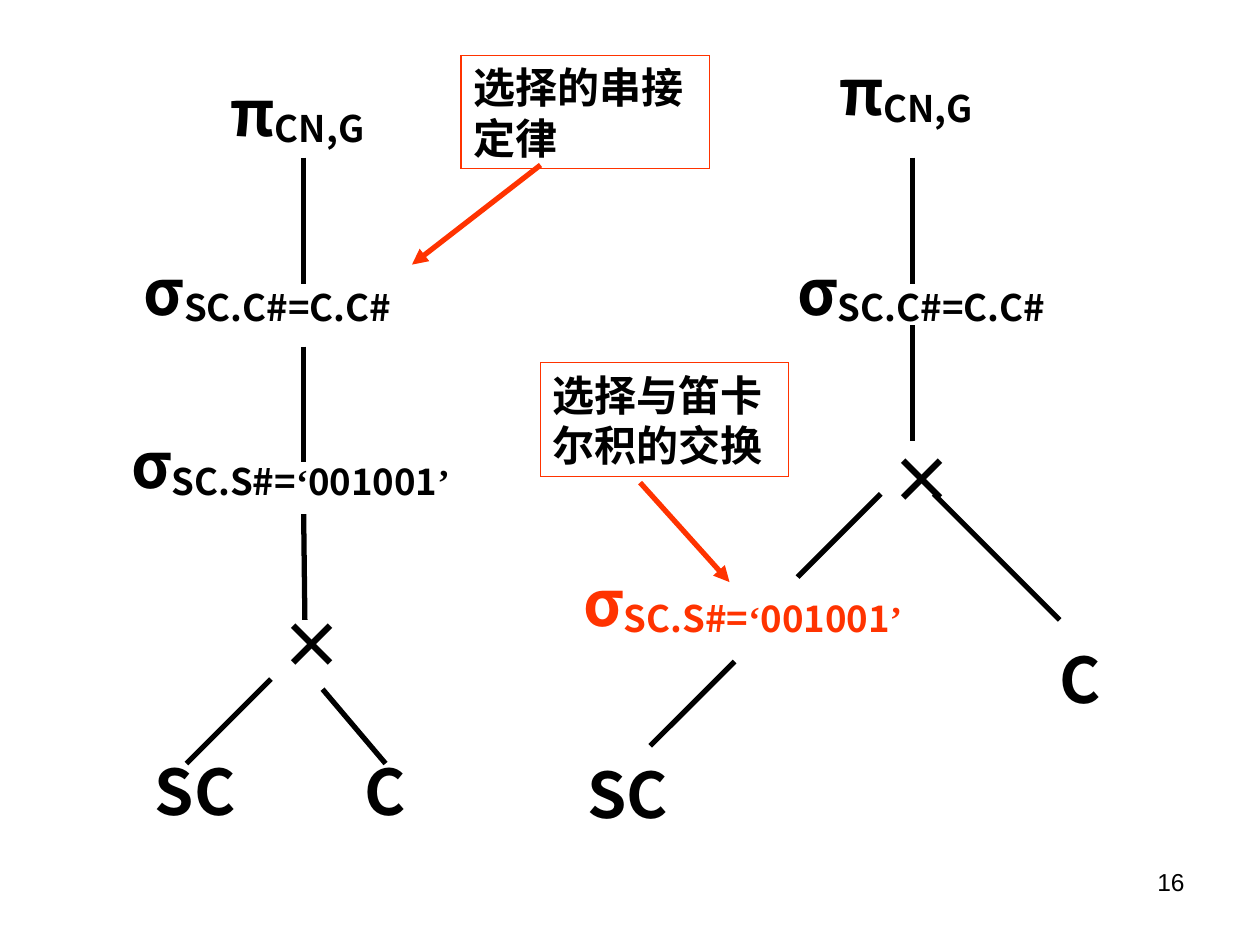
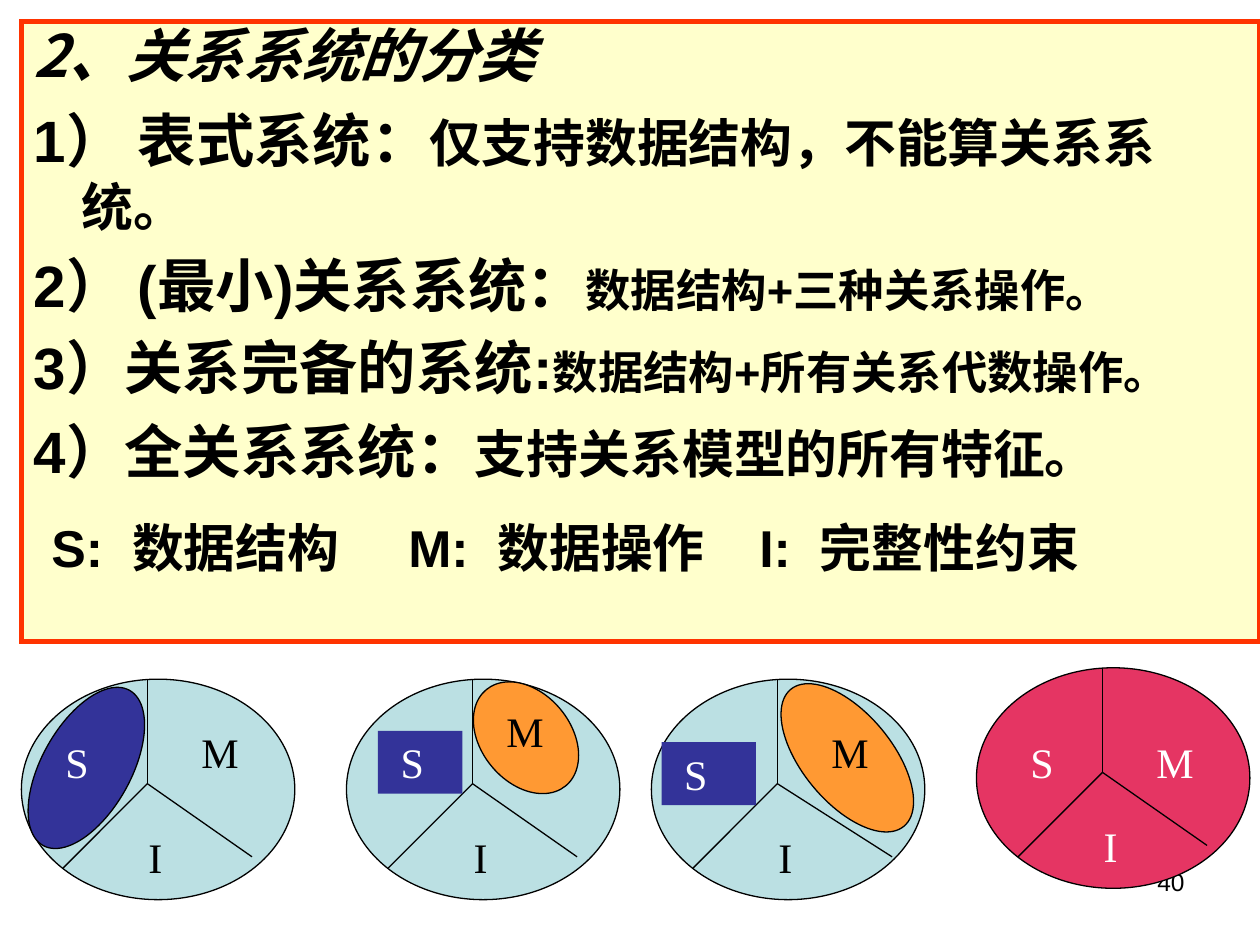
import pptx
import pptx.util
import pptx.dml.color
import pptx.enum.shapes
import pptx.enum.text
import pptx.oxml.ns
import lxml.etree

Inches = pptx.util.Inches
Pt = pptx.util.Pt
SHAPES = pptx.enum.shapes.MSO_SHAPE
ALIGN = pptx.enum.text.PP_ALIGN
qn = pptx.oxml.ns.qn

COLORS = {"black": "000000", "white": "FFFFFF", "red": "FF3300", "cream": "FFFFCC",
          "crimson": "E53563", "pale": "BBE0E3", "navy": "333399", "orange": "FF9933"}
CJK = "Noto Sans CJK SC"
CJK_JP = "Noto Sans CJK JP"
SANS = "Arial"
SERIF = "Times New Roman"
PADDING = (0.1, 0.05, 0.1, 0.05)

PROJECTION = [("π", {"font": CJK_JP}), ("CN,G", {"font": CJK_JP, "baseline": -10})]
JOIN = [("σ", {}), ("SC.C#=C.C#", {"baseline": -10})]
FILTER = [("σ", {}), ("SC.S#=", {"baseline": -10}),
          ("‘", {"font": SERIF, "baseline": -10}), ("001001", {"baseline": -10}),
          ("’", {"font": SERIF, "baseline": -10})]

TREE_NODES = [
    (PROJECTION, (6.66, 0.42, 1.5, 0.61)),
    (JOIN, (6.33, 2, 3.08, 0.61)),
    ("SC", (4.66, 6, 1.5, 0.6)),
    ("C", (8.41, 5.08, 0.75, 0.6)),
    ("×", (7.07, 3.5, 1.5, 0.6)),
    (PROJECTION, (1.83, 0.58, 1.5, 0.61)),
    (JOIN, (1.14, 2, 3.08, 0.61)),
    ("SC", (1.23, 5.97, 1.5, 0.6)),
    ("C", (2.89, 5.97, 0.75, 0.6)),
    ("×", (2.23, 4.81, 1.5, 0.6)),
]
FILTER_NODES = [("red", (4.5, 4.42, 2.79, 0.71)), ("black", (0.91, 3.33, 2.79, 0.71))]
BRANCHES = [
    (7.24, 1.25, 7.24, 2.25), (7.24, 2.58, 7.24, 3.5), (6.99, 3.92, 6.33, 4.58),
    (7.41, 3.92, 8.41, 4.92), (5.83, 5.25, 5.16, 5.92),
    (2.41, 1.25, 2.41, 2.25), (2.41, 2.75, 2.41, 3.67), (2.41, 4.08, 2.42, 4.92),
    (2.15, 5.39, 1.48, 6.06), (2.56, 5.47, 3.06, 6.06),
]
CALLOUTS = [
    ("选择的串接定律", (3.66, 0.44), (4.29, 1.31, 3.27, 2.1)),
    ("选择与笛卡尔积的交换", (4.29, 2.88), (5.08, 3.83, 5.79, 4.62)),
]

HEADING = "2、关系系统的分类"
CLASSES = [
    ("1） 表式系统：", "仅支持数据结构，不能算关系系统。", 29.6, 8),
    ("2） (最小)关系系统：", "数据结构+三种关系操作。", 25.9, 7),
    ("3）关系完备的系统:", "数据结构+所有关系代数操作。", 25.9, 7),
    ("4）全关系系统：", "支持关系模型的所有特征。", 29.6, 8),
]
LEGEND = [("S:", 16.46), ("数据结构", 41.15), ("M:", 16.46),
          ("数据操作", 32.92), ("I:", 16.46), ("完整性约束", 0)]
LEGEND_GAP_SIZE = 37
SPACE_WIDTH = 0.278

DISC_SIZE = (2.17, 1.75)
HUB = (1, 0.83)
DISCS = [
    {"at": (7.75, 5.3), "fill": "crimson", "ink": "white",
     "S": (0.33, 0.5), "M": (1.33, 0.5)},
    {"at": (0.17, 5.39), "fill": "pale", "ink": "black",
     "S": (0.25, 0.41), "M": (1.33, 0.33),
     "petal": ("navy", (0.16, 0, 0.71, 1.41), 29.1)},
    {"at": (2.75, 5.39), "fill": "pale", "ink": "black",
     "S": (0.25, 0.41), "M": (1.17, 0.16), "S box": 0.67,
     "petal": ("orange", (1.07, -0.03, 0.71, 0.99), 320.4)},
    {"at": (5.17, 5.39), "fill": "pale", "ink": "black", "right spoke": 1.91,
     "S": (0.08, 0.5), "M": (1.33, 0.33), "S box": 0.75,
     "petal": ("orange", (1.2, -0.08, 0.71, 1.41), 320.4)},
]


def color(name):
    return pptx.dml.color.RGBColor.from_string(COLORS[name])


def add_run(paragraph, text, font=CJK, size=36, ink="black", bold=True,
            italic=False, baseline=0, spacing=0):
    run = paragraph.add_run()
    run.text = text
    run.font.size = Pt(size)
    run.font.bold = bold
    run.font.italic = italic
    run.font.color.rgb = color(ink)
    run.font.name = font
    properties = run._r.get_or_add_rPr()
    if baseline:
        properties.set("baseline", str(baseline * 1000))
    if spacing:
        properties.set("spc", str(round(spacing * 100)))
    east_asian = lxml.etree.Element(qn("a:ea"), typeface=font if font == CJK_JP else CJK)
    properties.find(qn("a:latin")).addnext(east_asian)


def prepare_frame(shape, insets=PADDING, wrap=True):
    frame = shape.text_frame
    frame.word_wrap = wrap
    frame.vertical_anchor = pptx.enum.text.MSO_ANCHOR.TOP
    frame.margin_left, frame.margin_top, frame.margin_right, frame.margin_bottom = map(Inches, insets)
    return frame


def write(shape, text, insets=PADDING, wrap=True, align=ALIGN.LEFT, **style):
    paragraph = prepare_frame(shape, insets, wrap).paragraphs[0]
    paragraph.alignment = align
    runs = [(text, {})] if isinstance(text, str) else text
    for words, changes in runs:
        add_run(paragraph, words, **{**style, **changes})


def add_text(slide, text, box, **style):
    write(slide.shapes.add_textbox(*map(Inches, box)), text, **style)


def add_shape(slide, kind, box, fill=None, line=None, width=0.75, rotation=0):
    shape = slide.shapes.add_shape(kind, *map(Inches, box))
    shape.shadow.inherit = False
    shape.rotation = rotation
    if fill:
        shape.fill.solid()
        shape.fill.fore_color.rgb = color(fill)
    else:
        shape.fill.background()
    if line:
        shape.line.color.rgb = color(line)
        shape.line.width = Pt(width)
        lxml.etree.SubElement(shape.line._get_or_add_ln(), qn("a:miter"), lim="800000")
    else:
        shape.line.fill.background()
    return shape


def add_line(slide, ends, ink="black", width=3, arrow=False):
    connector = slide.shapes.add_connector(
        pptx.enum.shapes.MSO_CONNECTOR.STRAIGHT, *map(Inches, ends))
    connector.line.color.rgb = color(ink)
    connector.line.width = Pt(width)
    if arrow:
        lxml.etree.SubElement(connector.line._get_or_add_ln(), qn("a:tailEnd"), type="triangle")
    lxml.etree.SubElement(connector._element.spPr, qn("a:effectLst"))


def add_slide(presentation, number):
    slide = presentation.slides.add_slide(presentation.slide_layouts[6])
    add_text(slide, number, (7.17, 6.83, 2.33, 0.52), align=ALIGN.RIGHT,
             font=SANS, size=14, bold=False)
    return slide


def build_trees(slide):
    for text, box in TREE_NODES:
        add_text(slide, text, box, insets=(0, 0, 0, 0),
                 font=CJK_JP if isinstance(text, str) else CJK)
    for ends in BRANCHES:
        add_line(slide, ends)
    for ink, box in FILTER_NODES:
        add_text(slide, FILTER, box, ink=ink, wrap=False, align=ALIGN.CENTER)
    for text, corner, arrow in CALLOUTS:
        box = add_shape(slide, SHAPES.RECTANGLE, (*corner, 1.97, 0.9), line="red")
        write(box, text, font=SANS, size=24)
        add_line(slide, arrow, ink="red", arrow=True)


def add_item(frame, before, margin=0.38, indent=-0.38):
    paragraph = frame.add_paragraph() if before else frame.paragraphs[0]
    paragraph.alignment = ALIGN.LEFT
    properties = paragraph._p.get_or_add_pPr()
    properties.set("marL", str(Inches(margin)))
    properties.set("indent", str(Inches(indent)))
    properties.set("hangingPunct", "0")
    if before:
        paragraph.space_before = Pt(before)
    return paragraph


def build_panel(slide):
    panel = add_shape(slide, SHAPES.RECTANGLE, (0.17, 0.17, 9.83, 4.92),
                      fill="cream", line="red", width=3)
    frame = prepare_frame(panel)
    heading = add_item(frame, 0)
    heading.line_spacing = 0.9
    add_run(heading, HEADING, size=33.3, italic=True)
    for name, meaning, size, before in CLASSES:
        paragraph = add_item(frame, before)
        add_run(paragraph, name, font=SANS, size=33.3)
        add_run(paragraph, meaning, font=SANS, size=size)
    legend = add_item(frame, 10, margin=0.14, indent=0)
    for words, gap in LEGEND:
        add_run(legend, words, font=SANS, size=29.6)
        if gap:
            add_run(legend, " ", font=SANS, size=LEGEND_GAP_SIZE,
                    spacing=gap - LEGEND_GAP_SIZE * SPACE_WIDTH)


def build_disc(slide, disc):
    left, top = disc["at"]
    add_shape(slide, SHAPES.OVAL, (left, top, *DISC_SIZE), fill=disc["fill"], line="black")
    for x, y in [(1, 0), (disc.get("right spoke", 1.83), 1.41), (0.33, 1.5)]:
        add_line(slide, (left + HUB[0], top + HUB[1], left + x, top + y), width=0.75)
    if "petal" in disc:
        fill, (x, y, width, height), rotation = disc["petal"]
        add_shape(slide, SHAPES.OVAL, (left + x, top + y, width, height),
                  fill=fill, line="black", rotation=rotation)
    style = {"font": SERIF, "size": 24, "bold": False}
    for letter, (x, y), ink in [("S", disc["S"], "white"), ("M", disc["M"], disc["ink"]),
                                ("I", (0.91, 1.16), disc["ink"])]:
        corner = (left + x, top + y)
        if letter == "S" and "S box" in disc:
            box = add_shape(slide, SHAPES.RECTANGLE, (*corner, disc["S box"], 0.5), fill="navy")
            write(box, letter, insets=(0.18, 0.05, 0.1, 0.05), ink=ink, **style)
        else:
            add_text(slide, letter, (*corner, 0.58, 0.5), ink=ink, **style)


def main():
    presentation = pptx.Presentation()
    presentation.slide_width = Inches(10)
    presentation.slide_height = Inches(7.5)
    build_trees(add_slide(presentation, "16"))
    classes_slide = add_slide(presentation, "40")
    build_panel(classes_slide)
    for disc in DISCS:
        build_disc(classes_slide, disc)
    presentation.save("out.pptx")


if __name__ == "__main__":
    main()
